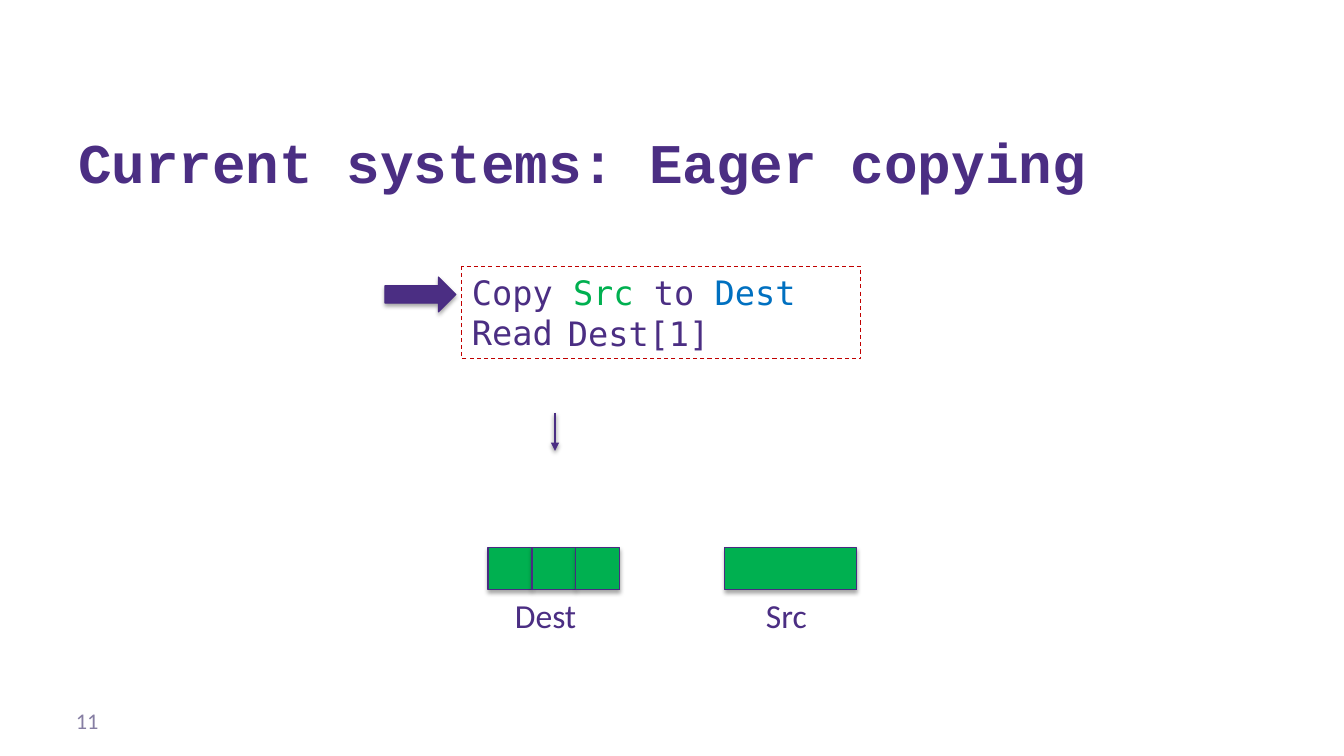
from lxml.etree import SubElement
from pptx import Presentation
from pptx.dml.color import RGBColor
from pptx.enum.dml import MSO_LINE
from pptx.enum.shapes import MSO_CONNECTOR, MSO_SHAPE
from pptx.enum.text import MSO_ANCHOR, MSO_AUTO_SIZE, PP_ALIGN
from pptx.oxml.ns import qn
from pptx.util import Emu, Pt

PURPLE, EDGE, GREEN, BLUE, RED, GREY = (
    "4B2E83", "492B82", "00B050", "0070C0", "C00000", "867EA3")
CODE_FONT, LABEL_FONT = "DejaVu Sans Mono", "Calibri"

TITLE = "Current systems: Eager copying"
PROGRAM = [
    [("Copy ", PURPLE), ("Src", GREEN), (" to ", PURPLE), ("Dest", BLUE)],
    [("Read", PURPLE)],
]
# text, (left, top, width, height), font, size, colour, wraps, anchor
TEXTS = [
    ("Dest[1]", (558, 308, 167, 50), CODE_FONT, 24, PURPLE, True, MSO_ANCHOR.TOP),
    ("Dest", (505, 590, 83, 50), LABEL_FONT, 24, PURPLE, False, MSO_ANCHOR.TOP),
    ("Src", (756, 590, 61, 50), LABEL_FONT, 24, PURPLE, False, MSO_ANCHOR.TOP),
    ("11", (66, 701, 302, 40), LABEL_FONT, 16, GREY, True, MSO_ANCHOR.MIDDLE),
]
CELL_TOP, CELL_WIDTH, CELL_HEIGHT, CELL_COUNT = 548, 44, 42, 3
DEST_LEFT, SRC_LEFT = 488, 725


def px(length):
    return Emu(round(length * 914400 / 100.8))


def place(*lengths):
    return [px(length) for length in lengths]


def rgb(colour):
    return RGBColor.from_string(colour)


def set_font(font, name, size, colour=None):
    font.name, font.size = name, Pt(size)
    if colour:
        font.color.rgb = rgb(colour)


def add_shadow(item, distance, opacity):
    """Give a shape or connector a soft shadow straight below it."""
    effects = item.element.spPr.find(qn("a:effectLst"))
    if effects is None:
        effects = SubElement(item.element.spPr, qn("a:effectLst"))
    shadow = SubElement(effects, qn("a:outerShdw"), blurRad=str(Pt(3.1)),
                        dist=str(Pt(distance)), dir="5400000", rotWithShape="0")
    black = SubElement(shadow, qn("a:srgbClr"), val="000000")
    SubElement(black, qn("a:alpha"), val=str(opacity * 1000))


def add_shape(page, kind, frame, fill, edge):
    shape = page.shapes.add_shape(kind, *place(*frame))
    shape.shadow.inherit = False
    if fill:
        shape.fill.solid()
        shape.fill.fore_color.rgb = rgb(fill)
        add_shadow(shape, 1.8, 35)
    else:
        shape.fill.background()
    shape.line.color.rgb = rgb(edge)
    shape.line.width = Pt(0.75)
    return shape


def add_title(page):
    title = page.shapes.title
    title.left, title.top, title.width, title.height = place(68, 54, 1202, 146)
    frame = title.text_frame
    frame.text = TITLE
    frame.word_wrap = True
    frame.auto_size = MSO_AUTO_SIZE.NONE
    frame.vertical_anchor = MSO_ANCHOR.BOTTOM
    para = frame.paragraphs[0]
    para.alignment = PP_ALIGN.LEFT
    set_font(para.font, "Courier New", 40, PURPLE)
    para.font.bold = True


def add_program(page):
    box = add_shape(page, MSO_SHAPE.RECTANGLE, (462, 267, 399, 92), None, RED)
    box.line.dash_style = MSO_LINE.DASH
    frame = box.text_frame
    frame.word_wrap = True
    frame.vertical_anchor = MSO_ANCHOR.TOP
    for index, spans in enumerate(PROGRAM):
        para = frame.add_paragraph() if index else frame.paragraphs[0]
        para.alignment = PP_ALIGN.LEFT
        set_font(para.font, CODE_FONT, 24)
        for text, colour in spans:
            span = para.add_run()
            span.text = text
            span.font.color.rgb = rgb(colour)
    add_shape(page, MSO_SHAPE.RIGHT_ARROW, (385, 277, 71, 35), PURPLE, EDGE)


def add_memory(page):
    cells = [(DEST_LEFT + i * CELL_WIDTH, CELL_WIDTH) for i in range(CELL_COUNT)]
    cells.append((SRC_LEFT, CELL_COUNT * CELL_WIDTH))
    for left, width in cells:
        add_shape(page, MSO_SHAPE.RECTANGLE,
                  (left, CELL_TOP, width, CELL_HEIGHT), GREEN, EDGE)


def add_down_arrow(page):
    arrow = page.shapes.add_connector(MSO_CONNECTOR.STRAIGHT,
                                      *place(555, 413, 555, 451))
    arrow.line.color.rgb = rgb(PURPLE)
    arrow.line.width = Pt(2)
    SubElement(arrow.element.spPr.find(qn("a:ln")), qn("a:tailEnd"), type="triangle")
    add_shadow(arrow, 1.6, 38)


def add_text(page, text, place_px, font, size, colour, wraps, anchor):
    frame = page.shapes.add_textbox(*place(*place_px)).text_frame
    frame.text = text
    frame.word_wrap = wraps
    frame.vertical_anchor = anchor
    set_font(frame.paragraphs[0].font, font, size, colour)


def main():
    deck = Presentation()
    deck.slide_width, deck.slide_height = place(1344, 756)
    page = deck.slides.add_slide(deck.slide_layouts.get_by_name("Title Only"))
    add_title(page)
    add_program(page)
    add_memory(page)
    add_down_arrow(page)
    for text in TEXTS:
        add_text(page, *text)
    deck.save("out.pptx")


if __name__ == "__main__":
    main()
